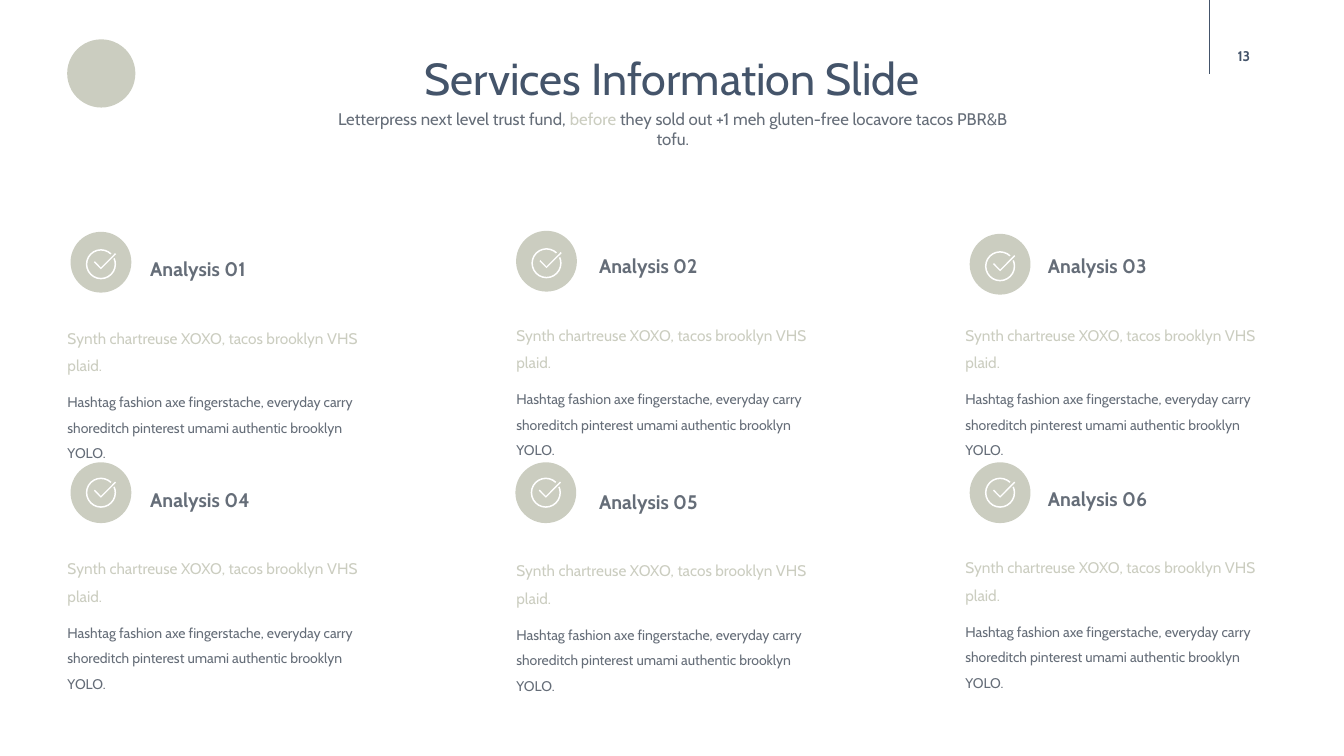
import dataclasses

import lxml.etree
import pptx
import pptx.dml.color
import pptx.enum.shapes
import pptx.enum.text
import pptx.oxml.ns
import pptx.util

SHAPE = pptx.enum.shapes.MSO_SHAPE
ALIGN = pptx.enum.text.PP_ALIGN
ANCHOR = pptx.enum.text.MSO_ANCHOR


@dataclasses.dataclass(frozen=True)
class Theme:
    font: str = "Cabin"
    navy: str = "44546A"
    grey: str = "656D78"
    sage: str = "CBCDC0"
    white: str = "FFFFFF"
    title: int = 32
    heading: int = 14
    subtitle: int = 12
    lead: int = 11
    small: int = 10


THEME = Theme()
GRID_COLUMNS, GRID_ROWS = 40, 22.5

LEAD = "Synth chartreuse XOXO, tacos brooklyn VHS plaid."
DETAIL = ("Hashtag fashion axe fingerstache, everyday carry shoreditch "
          "pinterest umami authentic brooklyn YOLO.")

# Card layout, in grid units
CARDS_PER_ROW = 3
CARD_LEFT, CARD_PITCH, CARD_WIDTH, CARD_HEIGHT = 2.01, 13.36, 9.29, 2.61
BADGE_SIZE = 1.81
MARK_DROPS = (0.06, 0)  # check mark below the badge centre, per row
CARDS = [  # badge left, badge top, text top
    (2.1, 6.9, 9.51), (15.36, 6.87, 9.42), (28.86, 6.96, 9.42),
    (2.1, 13.76, 16.38), (15.34, 13.76, 16.44), (28.86, 13.76, 16.35),
]

# Check mark: ring angles in degrees, tick corners around the ring centre
RING_SIZE, RING_START, RING_END, RING_BAND = 0.9, 336, 314, 0.05
DEGREE = 0.6  # one degree as an adjustment value
TICK = [(-0.21, -0.06), (-0.18, -0.09), (0, 0.1),
        (0.42, -0.33), (0.45, -0.3), (0, 0.15)]


def color(value):
    return pptx.dml.color.RGBColor.from_string(value)


def write(para, text, size=THEME.small, fill=THEME.grey, bold=False):
    """Add a formatted span of text to a paragraph."""
    span = para.add_run()
    span.text = text
    span.font.name = THEME.font
    span.font.size = pptx.util.Pt(size)
    span.font.bold = bold
    span.font.color.rgb = color(fill)


class Page:
    """The current slide, measured in grid columns and rows."""

    def __init__(self, deck):
        self.slide = deck.slides.add_slide(deck.slide_layouts[6])
        self.shapes = self.slide.shapes
        self.column = deck.slide_width / GRID_COLUMNS
        self.row = deck.slide_height / GRID_ROWS

    def place(self, left, top, width, height):
        return (round(left * self.column), round(top * self.row),
                round(width * self.column), round(height * self.row))

    def paint(self, shape, fill):
        shape.shadow.inherit = False
        shape.fill.solid()
        shape.fill.fore_color.rgb = color(fill)
        shape.line.fill.background()

    def preset(self, kind, left, top, size, fill):
        shape = self.shapes.add_shape(kind, *self.place(left, top, size, size))
        self.paint(shape, fill)
        return shape

    def line(self, left, top, right, bottom):
        rule = self.shapes.add_connector(
            pptx.enum.shapes.MSO_CONNECTOR.STRAIGHT,
            *self.place(left, top, right, bottom))
        rule.line.color.rgb = color(THEME.navy)
        rule.line.width = pptx.util.Pt(1)
        lxml.etree.SubElement(rule._element.spPr,
                              pptx.oxml.ns.qn("a:effectLst"))

    def text(self, left, top, width, height, paragraphs, align=ALIGN.LEFT,
             anchor=ANCHOR.TOP, spacing=None, before=0, inset=True,
             grow=False):
        """Each paragraph is a list of (text, format) pairs."""
        box = self.shapes.add_textbox(*self.place(left, top, width, height))
        frame = box.text_frame
        frame.word_wrap = True
        frame.vertical_anchor = anchor
        if grow:
            frame.auto_size = pptx.enum.text.MSO_AUTO_SIZE.SHAPE_TO_FIT_TEXT
        if not inset:
            frame.margin_left = frame.margin_right = 0
            frame.margin_top = frame.margin_bottom = 0
        for index, spans in enumerate(paragraphs):
            para = frame.add_paragraph() if index else frame.paragraphs[0]
            para.alignment = align
            if spacing:
                para.line_spacing = spacing
            if index:
                para.space_before = pptx.util.Pt(before)
            for words, style in spans:
                write(para, words, **style)

    def check_mark(self, center_x, center_y):
        """An open ring with a tick running out through its gap."""
        ring = self.preset(SHAPE.BLOCK_ARC, center_x - RING_SIZE / 2,
                           center_y - RING_SIZE / 2, RING_SIZE, THEME.white)
        ring.adjustments[0] = RING_START * DEGREE
        ring.adjustments[1] = RING_END * DEGREE
        ring.adjustments[2] = RING_BAND
        corners = [((center_x + x) * self.column, (center_y + y) * self.row)
                   for x, y in TICK]
        builder = self.shapes.build_freeform(*corners[0])
        builder.add_line_segments(corners[1:], close=True)
        self.paint(builder.convert_to_shape(), THEME.white)

    def card(self, index, badge_left, badge_top, text_top):
        row, column = divmod(index, CARDS_PER_ROW)
        left = CARD_LEFT + column * CARD_PITCH
        self.text(left + 2.46, text_top - 2.03, 5.79, 0.84,
                  [[(f"Analysis {index + 1:02}",
                     dict(size=THEME.heading, bold=True))]],
                  anchor=ANCHOR.MIDDLE, spacing=1.3, inset=False, grow=True)
        self.text(left, text_top, CARD_WIDTH, CARD_HEIGHT,
                  [[(LEAD, dict(size=THEME.lead, fill=THEME.sage))],
                   [(DETAIL, {})]],
                  spacing=1.5, before=7.5, inset=False)
        self.preset(SHAPE.OVAL, badge_left, badge_top, BADGE_SIZE, THEME.sage)
        self.check_mark(badge_left + BADGE_SIZE / 2,
                        badge_top + BADGE_SIZE / 2 + MARK_DROPS[row])


def main():
    deck = pptx.Presentation()
    deck.slide_width = pptx.util.Inches(13.33)
    deck.slide_height = pptx.util.Inches(7.5)
    page = Page(deck)

    # Emblem and page number
    page.preset(SHAPE.OVAL, 2, 1.17, 2.03, THEME.sage)
    page.line(36, 0, 36, 2.19)
    page.text(35.82, 1.08, 2.4, 1.2,
              [[("13", dict(fill=THEME.navy, bold=True))]],
              align=ALIGN.CENTER, anchor=ANCHOR.MIDDLE, inset=False)

    # Title and subtitle
    page.text(7.62, 1.35, 24.78, 1.92,
              [[("Services Information Slide",
                 dict(size=THEME.title, fill=THEME.navy))]],
              align=ALIGN.CENTER, grow=True)
    plain = dict(size=THEME.subtitle)
    page.text(9.6, 3.09, 20.85, 0.9,
              [[("Letterpress next level trust fund, ", plain),
                ("before", dict(size=THEME.subtitle, fill=THEME.sage)),
                (" they sold out +1 meh gluten-free locavore tacos "
                 "PBR&B tofu.", plain)]],
              align=ALIGN.CENTER, grow=True)

    # Service cards
    for index, layout in enumerate(CARDS):
        page.card(index, *layout)

    deck.save("out.pptx")


if __name__ == "__main__":
    main()
